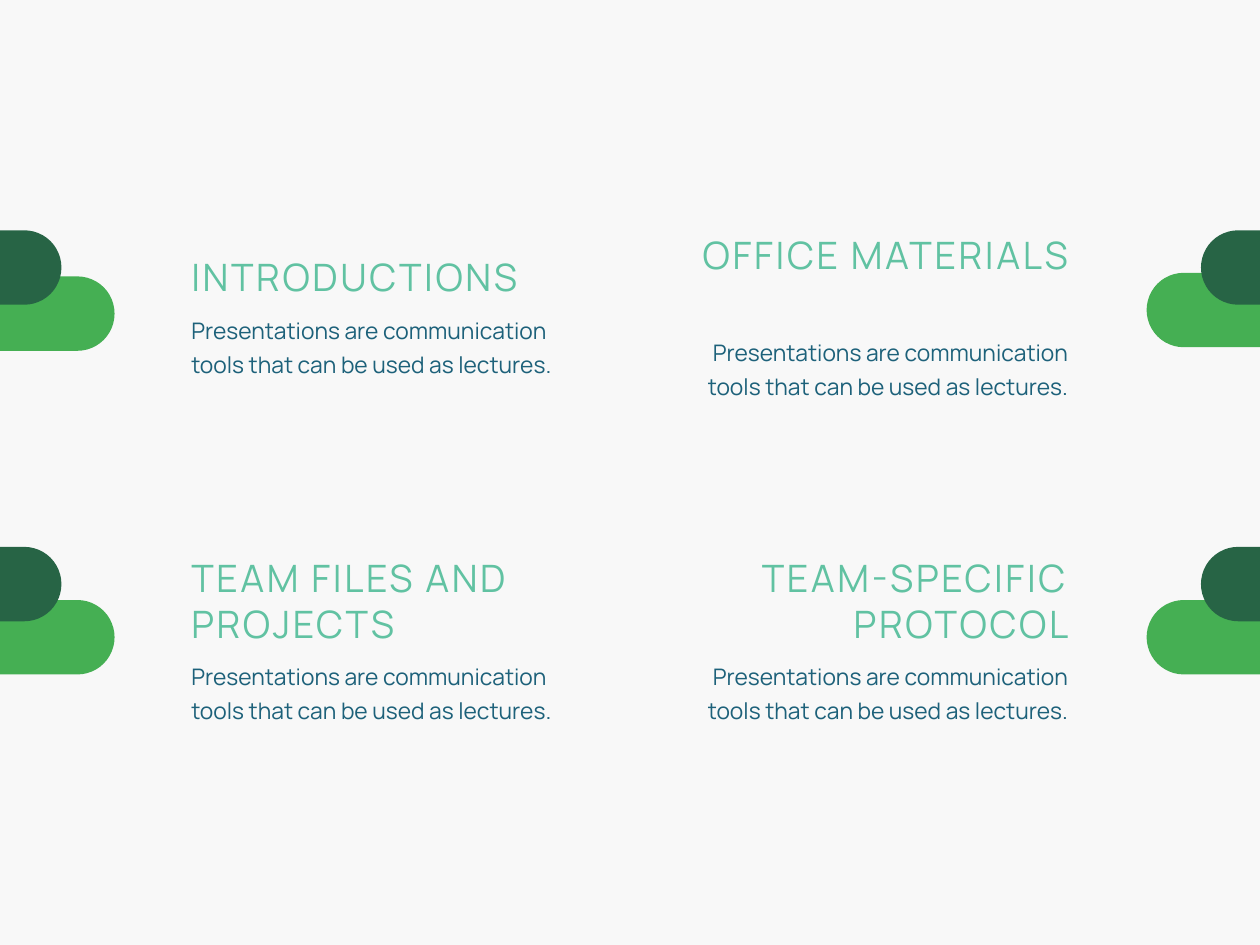
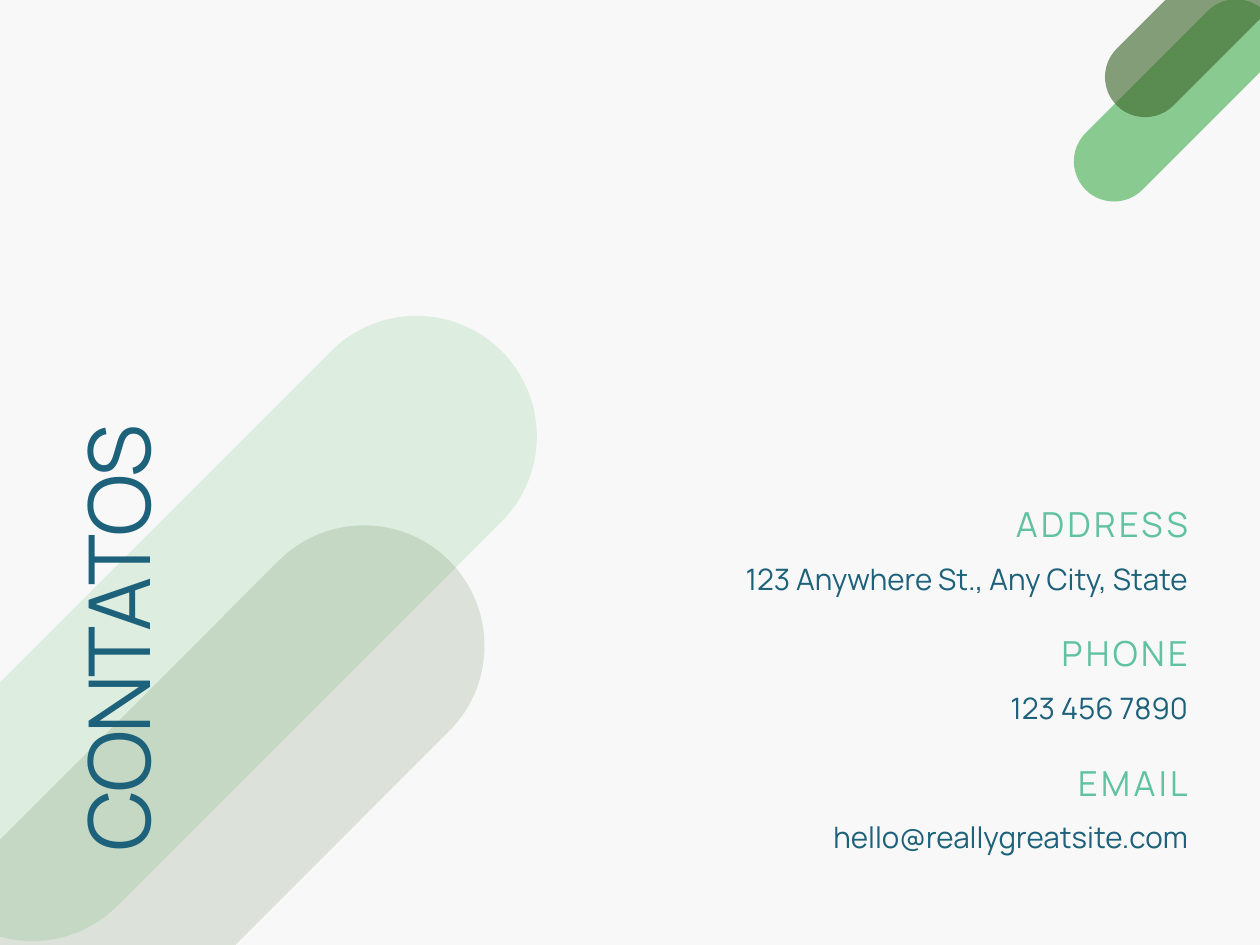
from lxml.etree import SubElement
from pptx import Presentation
from pptx.dml.color import RGBColor
from pptx.enum.shapes import MSO_SHAPE as Shape
from pptx.enum.text import MSO_AUTO_SIZE as AutoSize, PP_ALIGN as Align
from pptx.oxml.ns import qn
from pptx.util import Inches, Pt

PAPER = RGBColor(0xF8, 0xF8, 0xF8)
LEAF = RGBColor(0x45, 0xAF, 0x53)
FOREST = RGBColor(0x27, 0x64, 0x45)
MOSS = RGBColor(0x3E, 0x66, 0x2C)
MINT = RGBColor(0x61, 0xC2, 0xA2)
TEAL = RGBColor(0x1D, 0x61, 0x7A)
FONT = "Manrope"

# size, line spacing and letter spacing in points, then colour
TOPIC_STYLE = (23, 27.6, 1.6, MINT)
DETAIL_STYLE = (13.9, 20.8, 0, TEAL)
LABEL_STYLE = (21, 27.3, 2.1, MINT)
CONTACT_STYLE = (18, 27, 0, TEAL)
TITLE_STYLE = (52, 57.2, -1.6, TEAL)

DETAIL = "Presentations are communication tools that can be used as lectures."
# topic, side, top, lines kept for the topic
TOPICS = [
    ("INTRODUCTIONS", "left", 2.15, 1),
    ("OFFICE MATERIALS", "right", 1.96, 2),
    ("TEAM FILES AND PROJECTS", "left", 4.7, 2),
    ("TEAM-SPECIFIC PROTOCOL", "right", 4.7, 2),
]
SIDES = {
    "left": {"text": 1.62, "align": Align.LEFT, "leaf": -0.65, "forest": -1.1},
    "right": {"text": 5.72, "align": Align.RIGHT, "leaf": 9.71, "forest": 10.17},
}
# side, top of the light pill, top of the dark pill
PILL_PAIRS = [
    ("left", 2.34, 1.95),
    ("left", 5.08, 4.63),
    ("right", 2.31, 1.95),
    ("right", 5.08, 4.63),
]

CONTACTS = [
    ("ADDRESS", "123 Anywhere St., Any City, State"),
    ("PHONE", "123 456 7890"),
    ("EMAIL", "hello@reallygreatsite.com"),
]
# box before turning, colour, opacity in percent
DIAGONAL_PILLS = [
    ((8.88, 0.51, 2.14, 0.68), LEAF, 62),
    ((9.15, -0.19, 2.1, 0.68), MOSS, 62),
    ((-1.42, 4.3, 6.64, 2.04), LEAF, 15),
    ((-2.41, 6.3, 7.28, 2.04), MOSS, 15),
]


def add_slide(deck):
    slide = deck.slides.add_slide(deck.slide_layouts[6])
    slide.background.fill.solid()
    slide.background.fill.fore_color.rgb = PAPER
    return slide


def add_pill(slide, box, color, opacity=100, rotation=0):
    pill = slide.shapes.add_shape(Shape.ROUNDED_RECTANGLE, *map(Inches, box))
    pill.adjustments[0] = 0.5
    pill.rotation = rotation
    pill.shadow.inherit = False
    pill.line.fill.background()
    pill.fill.solid()
    pill.fill.fore_color.rgb = color
    if opacity < 100:
        srgb = pill._element.spPr.find(qn("a:solidFill")).find(qn("a:srgbClr"))
        SubElement(srgb, qn("a:alpha")).set("val", str(opacity * 1000))


def add_text(slide, text, box, style, align=Align.LEFT, rotation=0):
    size, leading, tracking, color = style
    textbox = slide.shapes.add_textbox(*map(Inches, box))
    textbox.rotation = rotation
    frame = textbox.text_frame
    frame.word_wrap = True
    frame.auto_size = AutoSize.SHAPE_TO_FIT_TEXT
    frame.margin_left = frame.margin_right = frame.margin_top = frame.margin_bottom = 0
    frame.text = text
    paragraph = frame.paragraphs[0]
    paragraph.alignment = align
    paragraph.line_spacing = Pt(leading)
    run = paragraph.runs[0]
    run.font.name = FONT
    run.font.size = Pt(size)
    run.font.color.rgb = color
    if tracking:
        run._r.get_or_add_rPr().set("spc", str(round(tracking * 100)))


def build_topics(deck):
    slide = add_slide(deck)
    width, line_height, gap = 3.33, 0.38, 0.09
    for side, leaf_top, forest_top in PILL_PAIRS:
        add_pill(slide, (SIDES[side]["leaf"], leaf_top, 1.62, 0.63), LEAF)
        add_pill(slide, (SIDES[side]["forest"], forest_top, 1.62, 0.63), FOREST)
    for topic, side, top, lines in TOPICS:
        left, align = SIDES[side]["text"], SIDES[side]["align"]
        height = lines * line_height
        add_text(slide, topic, (left, top, width, height), TOPIC_STYLE, align)
        add_text(slide, DETAIL, (left, top + height + gap, width, 0.54), DETAIL_STYLE, align)


def build_contacts(deck):
    slide = add_slide(deck)
    left, width, first_top, last_top = 4.73, 5.33, 4.23, 6.42
    step = (last_top - first_top) / (len(CONTACTS) - 1)
    for row, (label, contact) in enumerate(CONTACTS):
        top = first_top + row * step
        add_text(slide, label, (left, top, width, 0.36), LABEL_STYLE, Align.RIGHT)
        add_text(slide, contact, (left, top + 0.44, width, 0.34), CONTACT_STYLE, Align.RIGHT)
    for box, color, opacity in DIAGONAL_PILLS:
        add_pill(slide, box, color, opacity, rotation=315)
    add_text(slide, "CONTATOS", (-1.36, 4.41, 4.78, 0.81), TITLE_STYLE, rotation=270)


def main():
    deck = Presentation()
    deck.slide_width, deck.slide_height = Inches(10.67), Inches(8)
    build_topics(deck)
    build_contacts(deck)
    deck.save("out.pptx")


if __name__ == "__main__":
    main()
